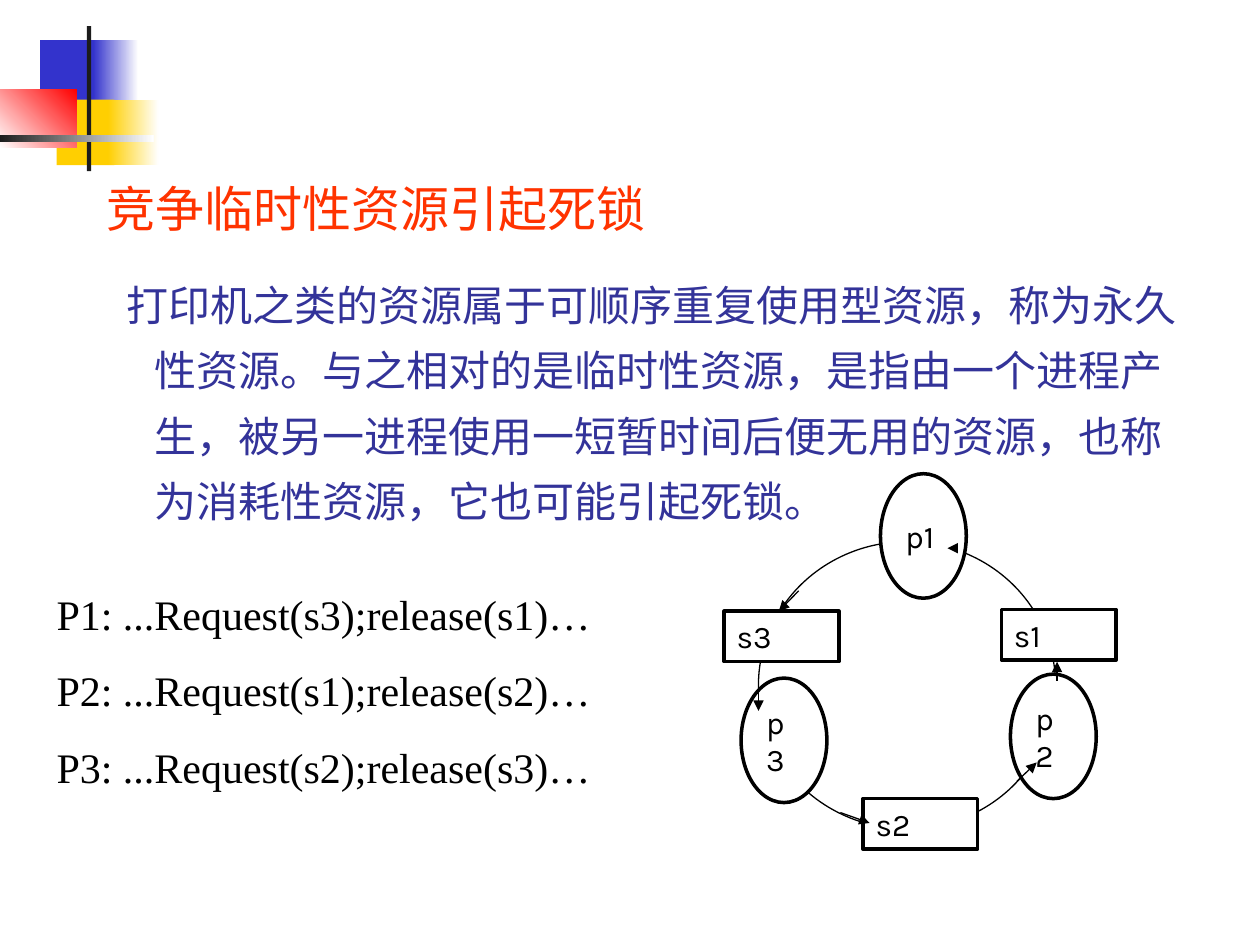
from lxml import etree
from pptx import Presentation
from pptx.dml.color import RGBColor
from pptx.enum.shapes import MSO_CONNECTOR, MSO_SHAPE
from pptx.enum.text import MSO_ANCHOR, MSO_AUTO_SIZE, PP_ALIGN
from pptx.oxml.ns import qn
from pptx.util import Cm, Pt

RECT, OVAL = MSO_SHAPE.RECTANGLE, MSO_SHAPE.OVAL
STRAIGHT = MSO_CONNECTOR.STRAIGHT
TOP, MIDDLE = MSO_ANCHOR.TOP, MSO_ANCHOR.MIDDLE
LEFT = PP_ALIGN.LEFT
NO_FIT = MSO_AUTO_SIZE.NONE

CJK, LATIN, LABEL = "Noto Sans CJK SC", "Times New Roman", "Karla"
BLACK, WHITE, BLUE, YELLOW = "000000", "FFFFFF", "3333CC", "FFCF01"
RED, DARK = "FF0000", "1C1C1C"


def rgb(value):
    return RGBColor.from_string(value)


def apply(target, values):
    for name, value in values.items():
        setattr(target, name, value)


class SlideBuilder:
    def __init__(self, slide):
        self.slide = slide
        self.heading = dict(font=CJK, size=28, color="FF3300", before=7, spacing=1.3)
        self.body = dict(font=CJK, size=24, color="333399", before=6, spacing=1.3)
        self.code = dict(font=LATIN, size=24, color=BLACK, before=15)
        self.label = dict(font=LABEL, size=18, color=BLACK, before=11.2)

    def set_lines(self, frame, lines, style, anchor=TOP):
        apply(frame, dict(word_wrap=True, auto_size=NO_FIT, vertical_anchor=anchor))
        for index, line in enumerate(lines):
            paragraph = frame.paragraphs[0] if index == 0 else frame.add_paragraph()
            apply(paragraph, dict(alignment=LEFT, space_before=Pt(style["before"]),
                                  line_spacing=style.get("spacing", 1.0)))
            run = paragraph.add_run()
            run.text = line
            apply(run.font, dict(name=style["font"], size=Pt(style["size"])))
            run.font.color.rgb = rgb(style["color"])
            east_asian = etree.SubElement(run.font._element, qn("a:ea"))
            east_asian.set("typeface", style["font"])

    def placeholder(self, index, box, text, style):
        holder = self.slide.placeholders[index]
        apply(holder, dict(zip(("left", "top", "width", "height"), map(Cm, box))))
        self.set_lines(holder.text_frame, [text], style)
        return holder

    def hang(self, holder, margin, indent):
        properties = holder.text_frame.paragraphs[0]._p.get_or_add_pPr()
        properties.set("marL", str(Cm(margin)))
        properties.set("indent", str(Cm(indent)))
        etree.SubElement(properties, qn("a:buNone"))

    def text(self, box, lines, style):
        frame = self.slide.shapes.add_textbox(*map(Cm, box)).text_frame
        self.set_lines(frame, lines, style)

    def shape(self, kind, box, fill=None, line=None):
        shape = self.slide.shapes.add_shape(kind, *map(Cm, box))
        shape.shadow.inherit = False
        if fill:
            shape.fill.solid()
            shape.fill.fore_color.rgb = rgb(fill)
        else:
            shape.fill.background()
        if line:
            shape.line.color.rgb = rgb(BLACK)
            shape.line.width = Pt(line)
        else:
            shape.line.fill.background()
        return shape

    def gradient(self, box, start, end, angle=0):
        fill = self.shape(RECT, box).fill
        fill.gradient()
        fill.gradient_angle = angle
        for stop, color in zip(fill.gradient_stops, (start, end)):
            stop.color.rgb = rgb(color)

    def node(self, kind, corner, size, name):
        node = self.shape(kind, corner + size, WHITE, 2)
        self.set_lines(node.text_frame, [name], self.label, MIDDLE)

    def arrow(self, start, end):
        arrow = self.slide.shapes.add_connector(STRAIGHT, *map(Cm, start + end))
        arrow.line.color.rgb = rgb(BLACK)
        arrow.line.width = Pt(0.75)
        properties = arrow._element.spPr
        etree.SubElement(properties.find(qn("a:ln")), qn("a:tailEnd")).set("type", "triangle")
        etree.SubElement(properties, qn("a:effectLst"))


def main():
    deck = Presentation()
    apply(deck, dict(slide_width=Cm(25.4), slide_height=Cm(19.05)))
    page = SlideBuilder(deck.slides.add_slide(deck.slide_layouts[1]))

    # Corner ornament
    page.shape(RECT, (0.81, 0.81, 1.22, 1.32), BLUE)
    page.gradient((1.88, 0.81, 0.91, 1.32), BLUE, WHITE)
    page.shape(RECT, (1.14, 2.01, 1.17, 1.32), YELLOW)
    page.gradient((2.18, 2.01, 1.02, 1.32), YELLOW, WHITE)
    page.gradient((0, 1.8, 1.55, 1.17), WHITE, RED, 45)
    page.shape(RECT, (1.75, 0.53, 0.09, 2.92), DARK)
    page.gradient((0, 2.72, 3.1, 0.15), DARK, WHITE)

    # Heading and explanation
    page.placeholder(0, (1.9, 3.12, 22.61, 2.3), "竞争临时性资源引起死锁", page.heading)
    explanation = page.placeholder(
        1, (1.9, 5.2, 22.61, 6.5),
        "打印机之类的资源属于可顺序重复使用型资源，称为永久性资源。"
        "与之相对的是临时性资源，是指由一个进程产生，被另一进程使用一短暂时间后便无用的资源，"
        "也称为消耗性资源，它也可能引起死锁。", page.body)
    page.hang(explanation, 0.96, -0.56)

    # Cycle of processes and resources
    page.shape(OVAL, (15.29, 10.92, 5.99, 5.79), line=0.75)
    resources = {"s3": (14.6, 12.32), "s1": (20.19, 12.29), "s2": (17.4, 16.1)}
    processes = {"p3": (14.94, 13.67), "p2": (20.37, 13.59), "p1": (17.75, 9.55)}
    for kind, size, nodes in ((RECT, (2.31, 1.02), resources),
                              (OVAL, (1.73, 2.51), processes)):
        for name, corner in nodes.items():
            page.node(kind, corner, size, name)

    # Arrowheads along the cycle
    for start, end in (
        ((16.94, 16.38), (17.53, 16.59)),
        ((15.29, 13.72), (15.29, 14.33)),
        ((16.1, 11.91), (15.7, 12.32)),
        ((19.3, 11.05), (19.1, 11.05)),
        ((21.31, 13.72), (21.31, 13.34)),
        ((20.5, 15.75), (20.9, 15.37)),
    ):
        page.arrow(start, end)

    # Steps of each process
    steps = [f"P{process}: ...Request(s{wanted});release(s{process})…"
             for process, wanted in ((1, 3), (2, 1), (3, 2))]
    page.text((0.89, 11.73, 12.8, 5.92), steps, page.code)

    deck.save("out.pptx")


if __name__ == "__main__":
    main()
